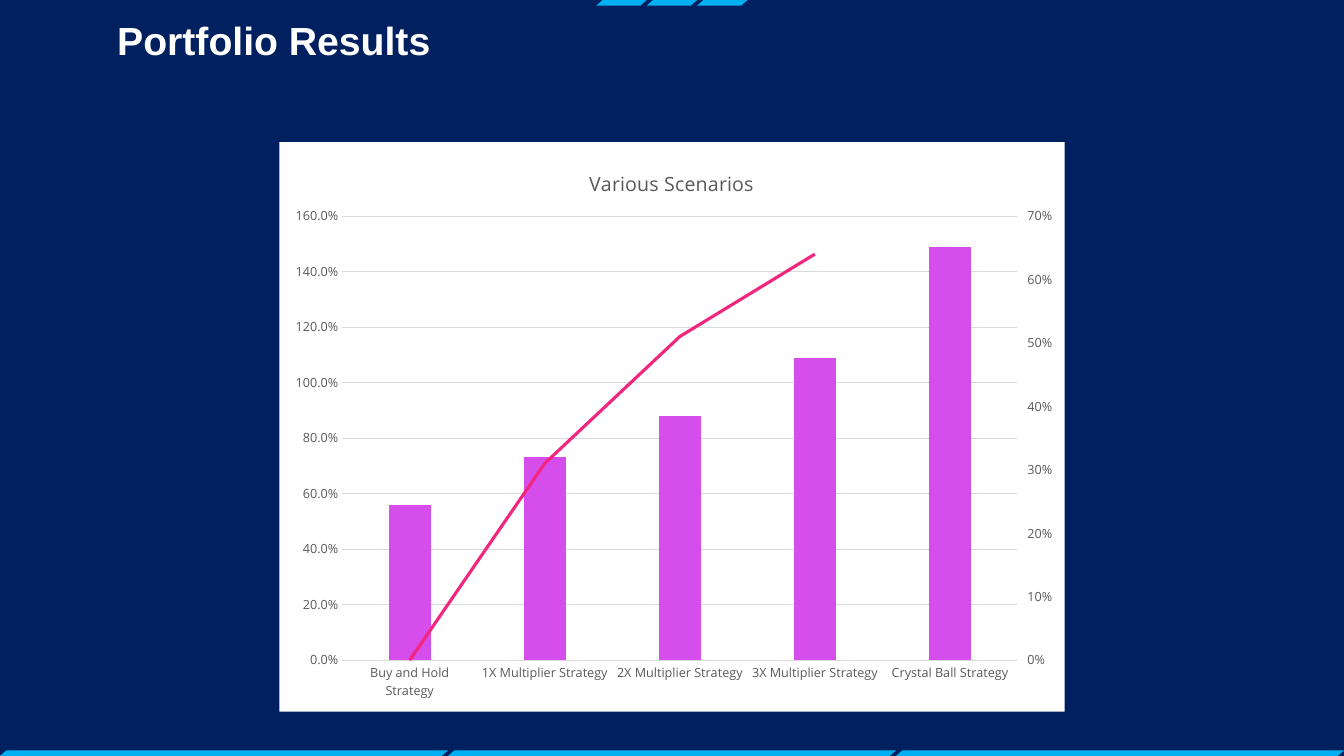
from lxml import etree
from pptx import Presentation, util as u
from pptx.chart.data import CategoryChartData
from pptx.dml.color import RGBColor
from pptx.enum import chart as ch, shapes, text
from pptx.oxml import parse_xml
from pptx.oxml.ns import nsdecls, qn

NAVY = RGBColor(0x00, 0x20, 0x60)
CYAN = RGBColor(0x00, 0xB0, 0xF0)
WHITE = RGBColor(0xFF, 0xFF, 0xFF)
GREY = RGBColor(0x59, 0x59, 0x59)
PALE = RGBColor(0xD9, 0xD9, 0xD9)
PURPLE = RGBColor(0xD5, 0x4E, 0xEC)
PINK = RGBColor(0xF3, 0x26, 0x7F)

SLIDE_W, SLIDE_H = u.Cm(33.87), u.Cm(19.05)
STRIP_H = u.Cm(0.14)
STRATEGIES = ["Buy and Hold Strategy", "1X Multiplier Strategy",
              "2X Multiplier Strategy", "3X Multiplier Strategy",
              "Crystal Ball Strategy"]
BAR_VALUES = [0.56, 0.73, 0.88, 1.09, 1.49]
LINE_VALUES = [0, 0.31, 0.51, 0.64, None]


def add_strip(s, left, top, width, height, count=3):
    """Fill the box with a row of equal slanted bars."""
    step = width // count
    for i in range(count):
        sp = s.shapes.add_shape(shapes.MSO_SHAPE.PARALLELOGRAM,
                                left + i * step, top, step, height)
        sp.adjustments[0] = 1.144
        sp.shadow.inherit = False
        sp.fill.solid()
        sp.fill.fore_color.rgb = CYAN
        sp.line.fill.background()


def set_title(s, words, left, top, width, height):
    sp = s.shapes.title
    sp.left, sp.top, sp.width, sp.height = left, top, width, height
    tf = sp.text_frame
    tf.text = words
    tf.vertical_anchor = text.MSO_ANCHOR.MIDDLE
    p = tf.paragraphs[0]
    p.alignment = text.PP_ALIGN.LEFT
    p.line_spacing = 0.9
    style_font(p.runs[0].font, 28, WHITE, "Arial", True)


def style_font(font, size, color, name="Open Sans", bold=False):
    font.size, font.name, font.bold = u.Pt(size), name, bold
    font.color.rgb = color


def set_layout(parent, index, **places):
    """Place a chart part by fractions of the chart area."""
    for old in parent.findall(qn("c:layout")):
        parent.remove(old)
    layout = etree.Element(qn("c:layout"))
    manual = etree.SubElement(layout, qn("c:manualLayout"))
    if "w" in places:
        etree.SubElement(manual, qn("c:layoutTarget"), val="inner")
    for side in "xy":
        etree.SubElement(manual, qn(f"c:{side}Mode"), val="edge")
    for key, value in places.items():
        etree.SubElement(manual, qn(f"c:{key}"), val=str(value))
    parent.insert(index, layout)


def move_to_right_axis(chart):
    """Turn the second bar series into a line on its own axis."""
    plot_area = chart._chartSpace.chart.plotArea
    bars = plot_area.find(qn("c:barChart"))
    ser = bars.findall(qn("c:ser"))[1]
    bars.remove(ser)
    for bar_only in ser.findall(qn("c:invertIfNegative")):
        ser.remove(bar_only)
    line = parse_xml(
        f'<c:lineChart {nsdecls("c")}><c:grouping val="standard"/>'
        '<c:varyColors val="0"/><c:marker val="1"/>'
        '<c:axId val="5001"/><c:axId val="5002"/></c:lineChart>')
    line.insert(2, ser)
    bars.addnext(line)
    plot_area.findall(qn("c:valAx"))[-1].addnext(parse_xml(
        f'<c:valAx {nsdecls("c", "a")}><c:axId val="5002"/>'
        '<c:scaling><c:orientation val="minMax"/><c:max val="0.7"/><c:min val="0"/></c:scaling>'
        '<c:delete val="0"/><c:axPos val="r"/><c:numFmt formatCode="0%" sourceLinked="0"/>'
        '<c:majorTickMark val="out"/><c:minorTickMark val="none"/><c:tickLblPos val="nextTo"/>'
        '<c:spPr><a:ln><a:noFill/></a:ln></c:spPr>'
        f'<c:txPr><a:bodyPr/><a:p><a:pPr><a:defRPr sz="900"><a:solidFill><a:srgbClr val="{GREY}"/>'
        '</a:solidFill><a:latin typeface="Open Sans"/></a:defRPr></a:pPr></a:p></c:txPr>'
        '<c:crossAx val="5001"/><c:crosses val="max"/><c:majorUnit val="0.1"/></c:valAx>'))
    plot_area.findall(qn("c:valAx"))[-1].addnext(parse_xml(
        f'<c:catAx {nsdecls("c")}><c:axId val="5001"/>'
        '<c:scaling><c:orientation val="minMax"/></c:scaling><c:delete val="1"/>'
        '<c:axPos val="b"/><c:crossAx val="5002"/><c:crosses val="autoZero"/></c:catAx>'))


def style_axes(chart):
    cat, val = chart.category_axis, chart.value_axis
    for axis in (cat, val):
        axis.major_tick_mark = axis.minor_tick_mark = ch.XL_TICK_MARK.NONE
        style_font(axis.tick_labels.font, 9, GREY)
    val.minimum_scale, val.maximum_scale, val.major_unit = 0, 1.6, 0.2
    val.tick_labels.number_format = "0.0%"
    val.tick_labels.number_format_is_linked = False
    val.format.line.fill.background()
    for line in (cat.format.line, val.major_gridlines.format.line):
        line.color.rgb = PALE
        line.width = u.Pt(0.75)


def add_scenarios_chart(s, left, top, width, height):
    data = CategoryChartData(number_format="0%")
    data.categories = STRATEGIES
    data.add_series("Series 1", BAR_VALUES)
    data.add_series("Series 2", LINE_VALUES)
    chart = s.shapes.add_chart(ch.XL_CHART_TYPE.COLUMN_CLUSTERED,
                               left, top, width, height, data).chart
    style_font(chart.font, 10, GREY)
    chart.has_legend = False
    chart.has_title = True
    tf = chart.chart_title.text_frame
    tf.text = "Various Scenarios"
    style_font(tf.paragraphs[0].runs[0].font, 14, GREY)
    style_axes(chart)
    move_to_right_axis(chart)

    bars, lines = chart.plots
    bars.gap_width, bars.overlap = 219, -27
    bars.vary_by_categories = False
    fill = bars.series[0].format.fill
    fill.solid()
    fill.fore_color.rgb = PURPLE
    trend = lines.series[0]
    trend.smooth = False
    trend.marker.style = ch.XL_MARKER_STYLE.NONE
    trend.format.line.color.rgb = PINK
    trend.format.line.width = u.Pt(2.25)

    space = chart._chartSpace
    set_layout(space.chart.find(qn("c:title")), 1, x=0.39, y=0.04)
    set_layout(space.chart.plotArea, 0, x=0.08, y=0.13, w=0.86, h=0.78)
    space.chart.addnext(parse_xml(
        f'<c:spPr {nsdecls("c", "a")}><a:solidFill><a:srgbClr val="{WHITE}"/></a:solidFill>'
        '<a:ln><a:noFill/></a:ln></c:spPr>'))


def main():
    prs = Presentation()
    prs.slide_width, prs.slide_height = SLIDE_W, SLIDE_H
    s = prs.slides.add_slide(prs.slide_layouts[5])
    s.background.fill.solid()
    s.background.fill.fore_color.rgb = NAVY
    add_strip(s, 0, SLIDE_H - STRIP_H, SLIDE_W, STRIP_H)
    top_w = u.Cm(3.81)
    add_strip(s, (SLIDE_W - top_w) // 2, 0, top_w, STRIP_H)
    set_title(s, "Portfolio Results", u.Cm(2.7), u.Cm(0.4), u.Cm(29.3), u.Cm(1.38))
    add_scenarios_chart(s, u.Cm(7.04), u.Cm(3.58), u.Cm(19.79), u.Cm(14.35))
    prs.save("out.pptx")


if __name__ == "__main__":
    main()
